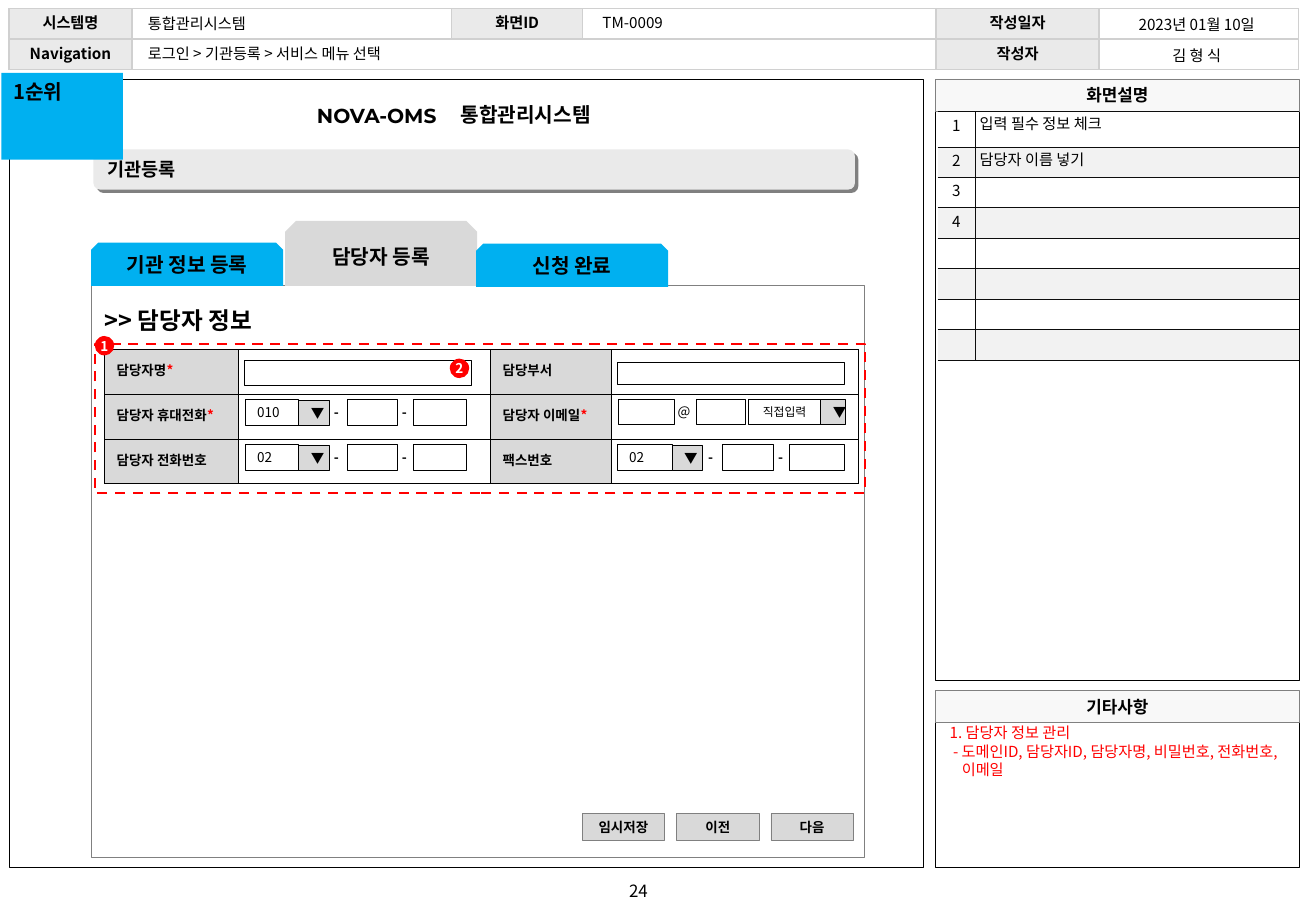
from dataclasses import dataclass
from typing import Optional

from lxml import etree
from pptx import Presentation
from pptx.dml.color import RGBColor
from pptx.enum.dml import MSO_LINE
from pptx.enum.shapes import MSO_SHAPE
from pptx.enum.text import MSO_ANCHOR, PP_ALIGN
from pptx.oxml.ns import qn
from pptx.util import Pt

RECT, ROUND = MSO_SHAPE.RECTANGLE, MSO_SHAPE.ROUNDED_RECTANGLE
TAB, OVAL = MSO_SHAPE.SNIP_2_SAME_RECTANGLE, MSO_SHAPE.OVAL
LEFT, CENTER = PP_ALIGN.LEFT, PP_ALIGN.CENTER
TOP, MIDDLE = MSO_ANCHOR.TOP, MSO_ANCHOR.MIDDLE
DASH = MSO_LINE.DASH
KOREAN, LATIN = "Noto Sans CJK KR", "Montserrat"
BLACK, WHITE, RED, BLUE = "000000", "FFFFFF", "FF0000", "00B0F0"
GRAY, SILVER, PALE, MIST, STRIPE = "808080", "D9D9D9", "EAEAEA", "F8F8F8", "F2F2F2"
INSETS = (7.2, 3.6)
LINE_HEIGHT = 1.2


@dataclass(frozen=True)
class Style:
    size: float = 9
    bold: bool = False
    color: str = BLACK
    align: PP_ALIGN = LEFT
    anchor: MSO_ANCHOR = TOP
    font: str = KOREAN
    hanging: bool = False
    insets: tuple[float, float] = INSETS
    wrap: bool = True


@dataclass(frozen=True)
class Box:
    left: float
    top: float
    width: float
    height: float
    text: str = ""
    style: Style = Style()
    shape: Optional[MSO_SHAPE] = RECT
    fill: Optional[str] = None
    line: Optional[str] = None
    weight: float = 0.5
    dash: Optional[MSO_LINE] = None
    shadow: Optional[str] = None


@dataclass(frozen=True)
class Cell:
    text: str = ""
    style: Style = Style()
    fill: Optional[str] = None
    required: bool = False


@dataclass(frozen=True)
class Grid:
    left: float
    top: float
    columns: tuple[float, ...]
    rows: tuple[float, ...]
    cells: list[list[Cell]]
    border: Optional[str] = None
    weight: float = 0.25
    outer_sides: bool = True


BODY = Style()
PANEL_TITLE = Style(10, True, align=CENTER)
BUTTON = Style(8, True, align=CENTER, anchor=MIDDLE)
TAB_TITLE = Style(12, True, align=CENTER)
BADGE = Style(8, True, WHITE, CENTER, MIDDLE, insets=(0, 0), wrap=False)
HEADING = Style(12, True, insets=(2.9, 3.6))
VALUE = Style(8, anchor=MIDDLE, hanging=True)
ARROW = Style(8, align=CENTER, anchor=MIDDLE, hanging=True)
SEPARATOR = Style(8, True)
HEADER_LABEL = Style(9, True, align=CENTER, anchor=MIDDLE)
HEADER_VALUE = Style(9, align=CENTER, anchor=MIDDLE)
FIELD_LABEL = Style(8, True, anchor=MIDDLE)
ITEM_NUMBER = Style(9, align=CENTER, insets=(0, 3.6))
ITEM_TEXT = Style(9, insets=(2.9, 2.9))


def rgb(value: str) -> RGBColor:
    return RGBColor.from_string(value)


def paint(fill, color: Optional[str]) -> None:
    if color:
        fill.solid()
        fill.fore_color.rgb = rgb(color)
    else:
        fill.background()


def add_run(paragraph, text: str, style: Style, color: str) -> None:
    run = paragraph.add_run()
    run.text = text
    run.font.size, run.font.bold, run.font.name = Pt(style.size), style.bold, style.font
    run.font.color.rgb = rgb(color)
    etree.SubElement(run.font._element, qn("a:ea"), typeface=style.font)


def write(frame, text: str, style: Style, required: bool = False) -> None:
    for index, line in enumerate(text.split("\n")):
        paragraph = frame.add_paragraph() if index else frame.paragraphs[0]
        paragraph.alignment = style.align
        paragraph.line_spacing = Pt(LINE_HEIGHT * style.size)
        if style.hanging:
            properties = paragraph._p.get_or_add_pPr()
            properties.set("marL", str(Pt(7.2)))
            properties.set("indent", str(-Pt(7.2)))
        if line:
            add_run(paragraph, line, style, style.color)
        else:
            etree.SubElement(paragraph._p, qn("a:endParaRPr"), sz=str(int(style.size * 100)))
        if required:
            add_run(paragraph, "*", style, RED)


def draw_box(slide, box: Box) -> None:
    area = (Pt(box.left), Pt(box.top), Pt(box.width), Pt(box.height))
    if box.shape is None:
        item = slide.shapes.add_textbox(*area)
    else:
        item = slide.shapes.add_shape(box.shape, *area)
        item.shadow.inherit = False
        paint(item.fill, box.fill)
        paint(item.line.fill, box.line)
        if box.line:
            item.line.width = Pt(box.weight)
        if box.dash:
            item.line.dash_style = box.dash
        if box.shadow:
            effects = item._element.spPr.find(qn("a:effectLst"))
            cast = etree.SubElement(effects, qn("a:outerShdw"), dist=str(Pt(2.8)), dir="2700000", algn="ctr")
            etree.SubElement(cast, qn("a:srgbClr"), val=box.shadow)
    if box.text:
        frame, style = item.text_frame, box.style
        frame.word_wrap, frame.vertical_anchor = style.wrap, style.anchor
        frame.margin_left = frame.margin_right = Pt(style.insets[0])
        frame.margin_top = frame.margin_bottom = Pt(style.insets[1])
        write(frame, box.text, style)


def set_border(cell, side: str, color: Optional[str], weight: float) -> None:
    edge = etree.SubElement(cell._tc.get_or_add_tcPr(), qn(f"a:ln{side}"), w=str(Pt(weight)))
    if color:
        solid = etree.SubElement(edge, qn("a:solidFill"))
        etree.SubElement(solid, qn("a:srgbClr"), val=color)
    else:
        etree.SubElement(edge, qn("a:noFill"))


def draw_grid(slide, grid: Grid):
    area = (Pt(grid.left), Pt(grid.top), Pt(sum(grid.columns)), Pt(sum(grid.rows)))
    table = slide.shapes.add_table(len(grid.rows), len(grid.columns), *area).table
    table.first_row = table.horz_banding = False
    for column, width in zip(table.columns, grid.columns):
        column.width = Pt(width)
    for row, height in zip(table.rows, grid.rows):
        row.height = Pt(height)
    last = len(grid.columns) - 1
    for r, entries in enumerate(grid.cells):
        for c, entry in enumerate(entries):
            cell, style = table.cell(r, c), entry.style
            cell.margin_left = cell.margin_right = Pt(style.insets[0])
            cell.margin_top = cell.margin_bottom = Pt(style.insets[1])
            cell.vertical_anchor = style.anchor
            for side, outer in (("L", c == 0), ("R", c == last), ("T", False), ("B", False)):
                hidden = outer and not grid.outer_sides
                set_border(cell, side, None if hidden else grid.border, grid.weight)
            paint(cell.fill, entry.fill)
            write(cell.text_frame, entry.text, style, entry.required)
    return table


def phone_boxes(left: float, top: float, code: str, scale: float = 1) -> list[Box]:
    def field(offset: float, width: float, text: str = "") -> Box:
        return Box(left + offset * scale, top, width * scale, 15.1, text, VALUE, line=BLACK)

    dashes = [Box(left + offset * scale, top - 0.7, 18, 17.3, "-", SEPARATOR, None) for offset in (45.4, 85.7)]
    arrow = Box(left + 31.7 * scale, top + 0.3, 18, 15.1, "▼", ARROW, fill=SILVER, line=BLACK)
    return [field(0, 31.7, code), field(99.4, 31.7), field(60.5, 29.5), arrow, *dashes]


def header_label(text: str) -> Cell:
    return Cell(text, HEADER_LABEL, PALE)


def field_label(text: str, required: bool = False) -> Cell:
    return Cell(text, FIELD_LABEL, SILVER, required)


def main() -> None:
    deck = Presentation()
    deck.slide_width, deck.slide_height = Pt(780), Pt(540)
    slide = deck.slides.add_slide(deck.slide_layouts[6])

    panels = [Box(5.5, 46.8, 541.6, 467), Box(554.4, 65.9, 215.8, 337.4), Box(554.4, 428.2, 215.8, 85.6)]
    titles = [(46.8, "화면설명"), (409.2, "기타사항")]
    for panel in panels:
        draw_box(slide, Box(panel.left, panel.top, panel.width, panel.height, line=BLACK, weight=0.25))
    for top, title in titles:
        draw_box(slide, Box(554.4, top, 215.8, 19.2, title, PANEL_TITLE, fill=MIST, line=GRAY, weight=0.25))
    draw_box(slide, Box(352.8, 518.6, 51.1, 19.2, "24", Style(10, align=CENTER, anchor=MIDDLE), None))

    blank = Cell()
    header = draw_grid(slide, Grid(5.3, 5.2, (72.9, 189.6, 77.6, 209.5, 96.6, 118.3), (18, 18), [
        [header_label("시스템명"), blank, header_label("화면ID"), blank, header_label("작성일자"), blank],
        [header_label("Navigation"), blank, blank, blank, header_label("작성자"), blank],
    ], "D0D0D0", 1))
    header.cell(1, 1).merge(header.cell(1, 3))

    draw_box(slide, Box(54.2, 169.2, 458, 339, fill=WHITE, line=GRAY))
    for left, top, width, text in [
        (80.6, 23, 173.5, "로그인 > 기관등록 > 서비스 메뉴 선택"),
        (350, 4.3, 54, "TM-0009"),
        (80.6, 5, 78.5, "통합관리시스템"),
    ]:
        draw_box(slide, Box(left, top, width, 18, text, BODY, None))
    draw_grid(slide, Grid(650.2, 6.5, (118.1,), (18.2, 18.2), [
        [Cell("2023년 01월 10일", HEADER_VALUE)], [Cell("김 형 식", HEADER_VALUE)],
    ]))

    for index, text in enumerate(("임시저장", "이전", "다음")):
        draw_box(slide, Box(345.2 + 55.9 * index, 482.4, 48.8, 15.5, text, BUTTON, fill=SILVER, line=GRAY))
    bar = Style(11, True, anchor=MIDDLE, hanging=True)
    draw_box(slide, Box(55.4, 88.6, 451.4, 23.8, "기관등록", bar, ROUND, PALE, shadow=GRAY))
    draw_box(slide, Box(270, 56.9, 118.8, 21.6, "통합관리시스템", HEADING, None))
    brand = Style(12, True, font=LATIN, insets=(2.9, 3.6))
    draw_box(slide, Box(185, 57.6, 87.1, 21.6, "NOVA-OMS", brand, None))

    active = Style(12, True, align=CENTER, anchor=MIDDLE, insets=(7.2, 2.9))
    for left, top, height, text, style, color in [
        (54, 143.8, 25.6, "기관 정보 등록", TAB_TITLE, BLUE),
        (169, 131, 38.4, "담당자 등록", active, SILVER),
        (282.2, 144.4, 25.6, "신청 완료", TAB_TITLE, BLUE),
    ]:
        draw_box(slide, Box(left, top, 113.8, height, text, style, TAB, color))

    notes = ("입력 필수 정보 체크", "담당자 이름 넣기")
    items = []
    for index in range(8):
        number = str(index + 1) if index < 4 else ""
        note = notes[index] if index < len(notes) else ""
        color = STRIPE if index % 2 else None
        items.append([Cell(number, ITEM_NUMBER, color), Cell(note, ITEM_TEXT, color)])
    draw_grid(slide, Grid(555.8, 66, (22, 192.2), (21, *[18] * 7), items, "0D0D0D", outer_sides=False))

    entry = Cell(fill=WHITE)
    draw_grid(slide, Grid(61.9, 207.1, (79.4, 149.4, 71.7, 146.4), (26.5,) * 3, [
        [field_label("담당자명", True), entry, field_label("담당부서"), entry],
        [field_label("담당자 휴대전화", True), entry, field_label("담당자 이메일", True), entry],
        [field_label("담당자 전화번호"), entry, field_label("팩스번호"), entry],
    ], BLACK))

    reminder = "1. 담당자 정보 관리\n - 도메인ID, 담당자ID, 담당자명, 비밀번호, 전화번호, 이메일"
    email_choice = Style(7, align=CENTER, anchor=MIDDLE, hanging=True)
    for box in [
        Box(144.7, 213.4, 134.6, 15.3, line=BLACK),
        Box(365.8, 214.6, 134.6, 13.2, line=BLACK),
        Box(59, 177.8, 131.8, 24.5, ">> 담당자 정보", Style(14, True, insets=(2.9, 3.6)), None),
        Box(555.8, 425.5, 213.8, 40.3, reminder, Style(color=RED, hanging=True), None),
        Box(56.2, 203.8, 456.4, 88.6, line=RED, weight=1.5, dash=DASH),
        Box(56.2, 199.2, 11.5, 11.5, "1", BADGE, OVAL, RED),
        *phone_boxes(145.4, 236.9, "010"),
        Box(366.3, 236.6, 33.3, 15.1, line=BLACK),
        Box(394.6, 235.4, 22.3, 17.3, "@", Style(8), None),
        Box(412.6, 236.6, 29.5, 15.1, line=BLACK),
        Box(443.5, 236.6, 43, 15.1, "직접입력", email_choice, fill=WHITE, line=BLACK),
        Box(486.5, 236.6, 14.6, 15.1, "▼", ARROW, fill=SILVER, line=BLACK),
        Box(266.6, 212.6, 11.5, 11.5, "2", BADGE, OVAL, RED),
        *phone_boxes(145.4, 263.5, "02"),
        *phone_boxes(365.8, 263.5, "02", 1.03),
        Box(0.9, 43.2, 72, 51.4, "1순위", Style(12, True), fill=BLUE),
    ]:
        draw_box(slide, box)

    deck.save("out.pptx")


if __name__ == "__main__":
    main()
